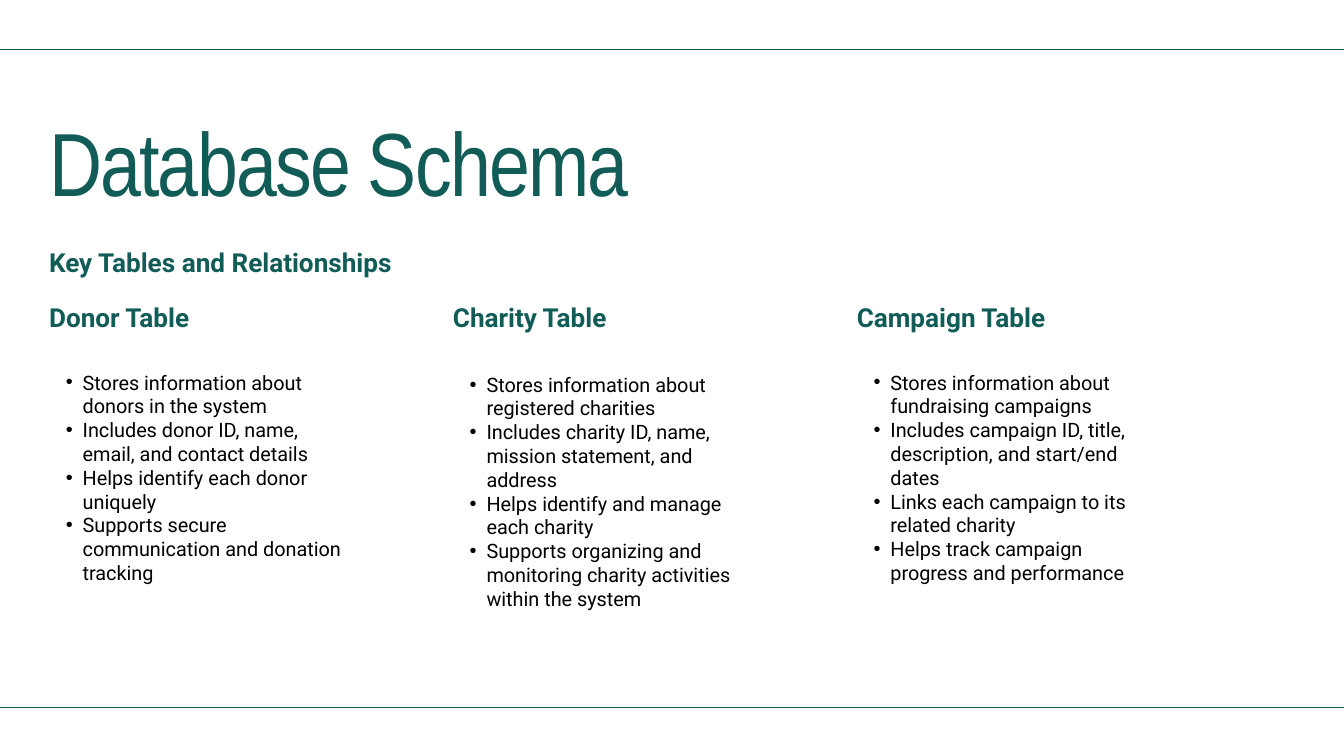
from dataclasses import dataclass

from lxml.etree import SubElement
from pptx import Presentation
from pptx.dml.color import RGBColor
from pptx.enum.shapes import MSO_CONNECTOR
from pptx.enum.text import MSO_AUTO_SIZE
from pptx.oxml.ns import qn
from pptx.util import Inches, Pt


@dataclass(frozen=True)
class Theme:
    green: RGBColor = RGBColor(0x11, 0x5C, 0x57)
    black: RGBColor = RGBColor(0, 0, 0)
    title_font: str = "Arial Narrow"
    body_font: str = "Roboto"
    title_size: float = 96
    title_spacing: float = -1.9
    heading_size: float = 28
    heading_leading: float = 33.6
    body_size: float = 21.3
    body_leading: float = 25.5
    rule_width: float = 1.5


SLIDE_WIDTH, SLIDE_HEIGHT = 20, 11.25
MARGIN = 0.73
CONTENT_WIDTH = SLIDE_WIDTH - 2 * MARGIN
COLUMN_WIDTH, COLUMN_PITCH = 4.39, 6.01
HEADING_HEIGHT = 0.46
RULE_TOPS = (0.74, 10.53)

# Heading, top and height of the list, list items
TABLES = [
    ("Donor Table", 5.51, 3.54, [
        "Stores information about donors in the system",
        "Includes donor ID, name, email, and contact details",
        "Helps identify each donor uniquely",
        "Supports secure communication and donation tracking",
    ]),
    ("Charity Table", 5.54, 3.9, [
        "Stores information about registered charities",
        "Includes charity ID, name, mission statement, and address",
        "Helps identify and manage each charity",
        "Supports organizing and monitoring charity activities within the system",
    ]),
    ("Campaign Table", 5.51, 3.54, [
        "Stores information about fundraising campaigns",
        "Includes campaign ID, title, description, and start/end dates",
        "Links each campaign to its related charity",
        "Helps track campaign progress and performance",
    ]),
]


class SlideBuilder:
    def __init__(self, slide, theme):
        self.slide = slide
        self.theme = theme

    def text_frame(self, left, top, width, height):
        shape = self.slide.shapes.add_textbox(
            Inches(left), Inches(top), Inches(width), Inches(height))
        frame = shape.text_frame
        frame.word_wrap = True
        frame.auto_size = MSO_AUTO_SIZE.SHAPE_TO_FIT_TEXT
        frame.margin_left = frame.margin_top = 0
        frame.margin_right = frame.margin_bottom = 0
        return frame

    def run(self, paragraph, text, font_name, size, color, leading, bold=False):
        paragraph.line_spacing = Pt(leading)
        run = paragraph.add_run()
        run.text = text
        run.font.name = font_name
        run.font.size = Pt(size)
        run.font.bold = bold
        run.font.color.rgb = color
        return run

    def title(self, text, left, top, width, height):
        theme = self.theme
        paragraph = self.text_frame(left, top, width, height).paragraphs[0]
        run = self.run(paragraph, text, theme.title_font, theme.title_size,
                       theme.green, theme.title_size)
        run.font._element.set("spc", str(round(theme.title_spacing * 100)))

    def heading(self, text, left, top, width):
        theme = self.theme
        frame = self.text_frame(left, top, width, HEADING_HEIGHT)
        self.run(frame.paragraphs[0], text, theme.body_font, theme.heading_size,
                 theme.green, theme.heading_leading, bold=True)

    def bullet_list(self, items, left, top, width, height):
        theme = self.theme
        frame = self.text_frame(left, top, width, height)
        for index, item in enumerate(items):
            paragraph = frame.add_paragraph() if index else frame.paragraphs[0]
            paragraph.level = 1
            properties = paragraph._p.get_or_add_pPr()
            properties.set("marL", str(Inches(0.5)))
            properties.set("indent", str(Inches(-0.25)))
            SubElement(properties, qn("a:buFont"), typeface="Arial")
            SubElement(properties, qn("a:buChar"), char="•")
            self.run(paragraph, item, theme.body_font, theme.body_size,
                     theme.black, theme.body_leading)

    def rule(self, top):
        connector = self.slide.shapes.add_connector(
            MSO_CONNECTOR.STRAIGHT, 0, Inches(top), Inches(SLIDE_WIDTH), Inches(top))
        connector.line.color.rgb = self.theme.green
        connector.line.width = Pt(self.theme.rule_width)
        SubElement(connector._element.spPr, qn("a:effectLst"))


def main():
    presentation = Presentation()
    presentation.slide_width = Inches(SLIDE_WIDTH)
    presentation.slide_height = Inches(SLIDE_HEIGHT)
    slide = presentation.slides.add_slide(presentation.slide_layouts[6])
    builder = SlideBuilder(slide, Theme())

    for column, (heading, list_top, list_height, items) in enumerate(TABLES):
        left = MARGIN + column * COLUMN_PITCH
        builder.heading(heading, left, 4.49, COLUMN_WIDTH)
        builder.bullet_list(items, left, list_top, COLUMN_WIDTH, list_height)

    builder.title("Database Schema", MARGIN, 1.86, CONTENT_WIDTH, 1.45)
    builder.heading("Key Tables and Relationships", MARGIN, 3.67, CONTENT_WIDTH)
    for top in RULE_TOPS:
        builder.rule(top)

    presentation.save("out.pptx")


if __name__ == "__main__":
    main()
